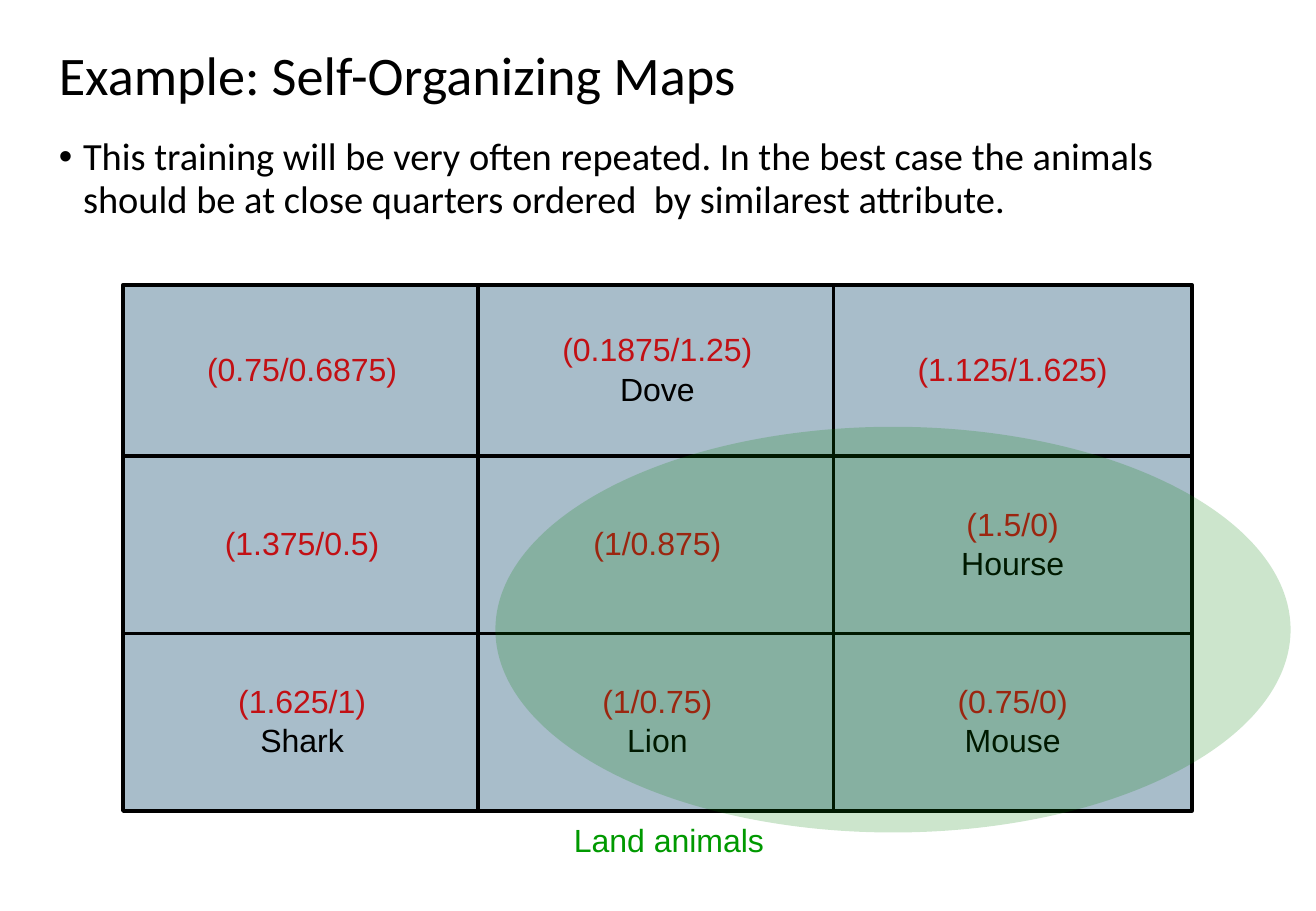
from lxml.etree import SubElement
from pptx import Presentation
from pptx.dml.color import RGBColor
from pptx.enum.shapes import MSO_SHAPE
from pptx.enum.text import MSO_ANCHOR, MSO_AUTO_SIZE, PP_ALIGN
from pptx.oxml.ns import qn
from pptx.util import Pt

TITLE = "Example: Self-Organizing Maps"
BULLET = ("This training will be very often repeated. In the best case the animals "
          "should be at close quarters ordered  by similarest attribute.")
LABEL = "Land animals"
# Each neuron: its weights and, where one is matched, its animal
NEURONS = [
    [("(0.75/0.6875)",), ("(0.1875/1.25)", "Dove"), ("(1.125/1.625)",)],
    [("(1.375/0.5)",), ("(1/0.875)",), ("(1.5/0)", "Hourse")],
    [("(1.625/1)", "Shark"), ("(1/0.75)", "Lion"), ("(0.75/0)", "Mouse")],
]

BLACK, RED, GREEN = "000000", "C21014", "009900"
CELL_FILL, ELLIPSE_FILL = "A8BDCA", "008000"
SLIDE_WIDTH, SLIDE_HEIGHT = 780.48, 540
TEXT_LEFT = 27.8
GRID_LEFT, GRID_TOP = 73, 168.8
COLUMN_STEP, CELL_WIDTH = 210.7, 212.4
ROW_HEIGHTS = [101.5, 105.2, 105.2]
LINE_SPACING = 0.93


def color(value):
    return RGBColor.from_string(value)


def style(para, text, size, font, fill, spacing=LINE_SPACING):
    para.text = text
    para.line_spacing = spacing
    para.font.size = Pt(size)
    para.font.name = font
    para.font.color.rgb = color(fill)


def set_frame(frame, anchor, side, edge, wrap=True):
    frame.auto_size = MSO_AUTO_SIZE.NONE
    frame.word_wrap = wrap
    frame.vertical_anchor = anchor
    frame.margin_left = frame.margin_right = Pt(side)
    frame.margin_top = frame.margin_bottom = Pt(edge)


def add_text(slide, bounds, text, size, font, fill, anchor=MSO_ANCHOR.TOP,
             side=7.2, edge=3.6, wrap=True):
    box = slide.shapes.add_textbox(*map(Pt, bounds))
    set_frame(box.text_frame, anchor, side, edge, wrap)
    para = box.text_frame.paragraphs[0]
    style(para, text, size, font, fill)
    return para


def add_bullet(para, indent):
    properties = para._p.get_or_add_pPr()
    properties.set("marL", str(Pt(indent)))
    properties.set("indent", str(-Pt(indent)))
    SubElement(properties, qn("a:buFont")).set("typeface", "Arial")
    SubElement(properties, qn("a:buChar")).set("char", "•")
    # Bullet elements must come before the default run properties
    properties.append(properties.find(qn("a:defRPr")))


def add_neuron(slide, left, top, height, lines):
    cell = slide.shapes.add_shape(MSO_SHAPE.ROUNDED_RECTANGLE, Pt(left), Pt(top),
                                  Pt(CELL_WIDTH), Pt(height))
    cell.adjustments[0] = 0
    cell.shadow.inherit = False
    cell.fill.solid()
    cell.fill.fore_color.rgb = color(CELL_FILL)
    cell.line.color.rgb = color(BLACK)
    cell.line.width = Pt(2.25)
    SubElement(cell.line._ln, qn("a:round"))
    frame = cell.text_frame
    set_frame(frame, MSO_ANCHOR.MIDDLE, 5, 2.9)
    for index, text in enumerate(lines):
        para = frame.add_paragraph() if index else frame.paragraphs[0]
        style(para, text, 19, "Arial", BLACK if index else RED,
              1.0 if index else LINE_SPACING)
        para.alignment = PP_ALIGN.CENTER


def add_land_ellipse(slide):
    ellipse = slide.shapes.add_shape(MSO_SHAPE.OVAL, Pt(293.8), Pt(253),
                                     Pt(471.6), Pt(240.5))
    ellipse.shadow.inherit = False
    ellipse.line.fill.background()
    ellipse.fill.solid()
    ellipse.fill.fore_color.rgb = color(ELLIPSE_FILL)
    tint = ellipse._element.spPr.find(qn("a:solidFill"))[0]
    SubElement(tint, qn("a:alpha")).set("val", "20000")


def main():
    deck = Presentation()
    deck.slide_width, deck.slide_height = Pt(SLIDE_WIDTH), Pt(SLIDE_HEIGHT)
    slide = deck.slides.add_slide(deck.slide_layouts[6])

    add_text(slide, (TEXT_LEFT, 32, 614.9, 27.4), TITLE, 32.2, "Calibri", BLACK,
             MSO_ANCHOR.MIDDLE)
    para = add_text(slide, (TEXT_LEFT, 77.2, 725, 425.5), BULLET, 22.8, "Calibri",
                    BLACK)
    add_bullet(para, 14.4)

    for row, (height, neurons) in enumerate(zip(ROW_HEIGHTS, NEURONS)):
        top = GRID_TOP + sum(ROW_HEIGHTS[:row])
        for column, lines in enumerate(neurons):
            add_neuron(slide, GRID_LEFT + column * COLUMN_STEP, top, height, lines)

    add_land_ellipse(slide)
    add_text(slide, (335.4, 485.3, 124.6, 26.6), LABEL, 19, "Arial", GREEN,
             side=5, edge=2.9, wrap=False)
    deck.save("out.pptx")


if __name__ == "__main__":
    main()
